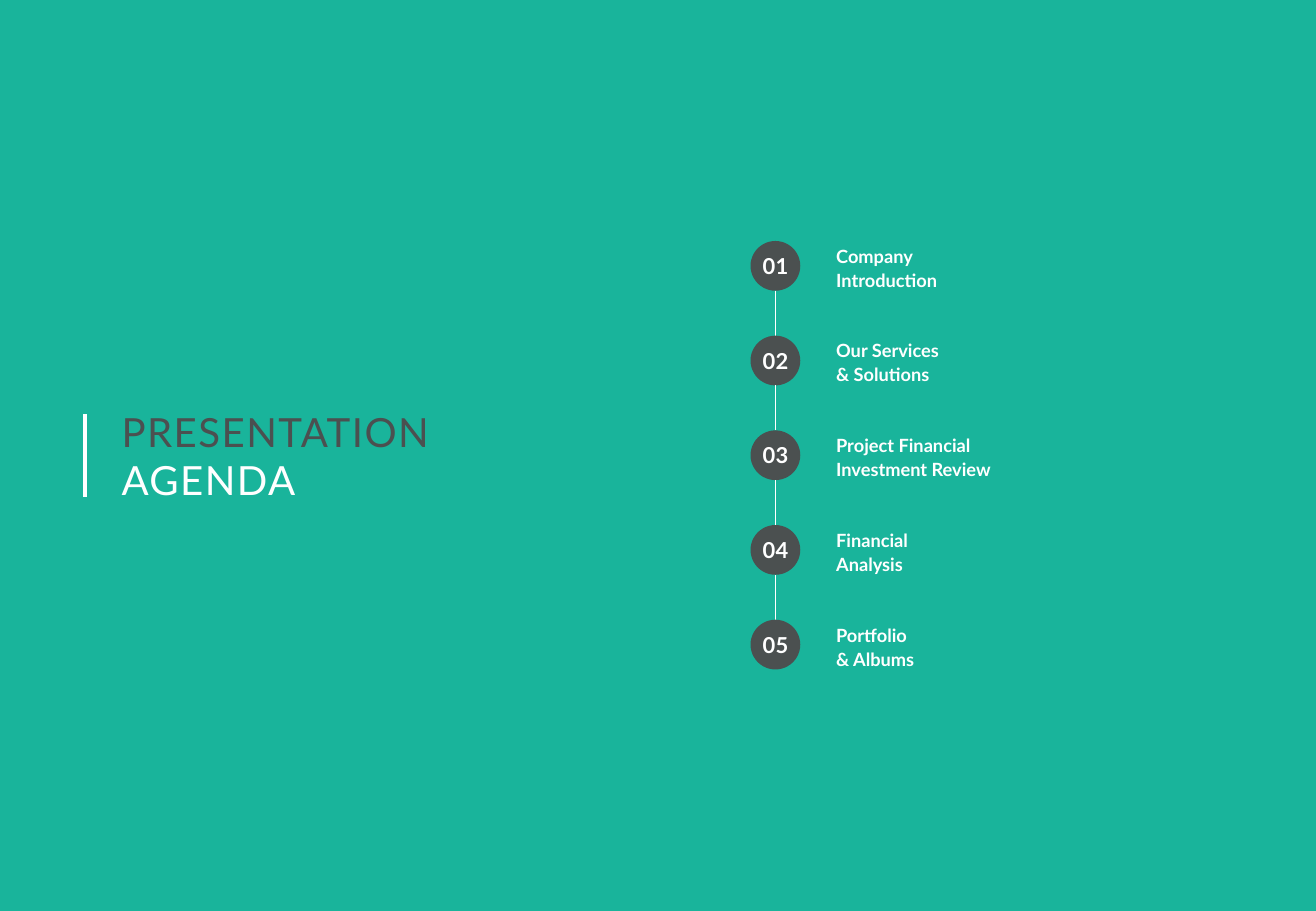
import pptx
import pptx.dml.color
import pptx.enum.shapes
import pptx.enum.text
import pptx.oxml
import pptx.util
from pptx.util import Cm

TEAL, CHARCOAL, WHITE = "19B49B", "4B5050", "FFFFFF"
AGENDA = [
    ("Company", "Introduction"),
    ("Our Services", "& Solutions"),
    ("Project Financial", "Investment Review"),
    ("Financial", "Analysis"),
    ("Portfolio", "& Albums"),
]
AXIS_X, FIRST_TOP, STEP, DIAMETER = 16.21, 5.04, 1.98, 1.04
LABEL_X = 17.48


def colour(hex_string):
    """Return the colour for a hex string."""
    return pptx.dml.color.RGBColor.from_string(hex_string)


def write(shape, lines, size, colours=(WHITE,), bold=False, align="LEFT",
          anchor="TOP", spacing=0, line_spacing=1.0):
    """Write one paragraph per line, taking the colours in turn."""
    frame = shape.text_frame
    frame.margin_left = frame.margin_right = 0
    frame.margin_top = frame.margin_bottom = 0
    frame.word_wrap = True
    frame.auto_size = pptx.enum.text.MSO_AUTO_SIZE.NONE
    frame.vertical_anchor = pptx.enum.text.MSO_ANCHOR[anchor]
    frame.text = "\n".join(lines)
    for index, paragraph in enumerate(frame.paragraphs):
        paragraph.alignment = pptx.enum.text.PP_ALIGN[align]
        paragraph.line_spacing = line_spacing
        run = paragraph.runs[0]
        run.font.name = "Lato"
        run.font.size = pptx.util.Pt(size)
        run.font.bold = bold
        run.font.color.rgb = colour(colours[index % len(colours)])
        if spacing:
            run._r.get_or_add_rPr().set("spc", str(round(spacing * 100)))


def add_title(slide):
    """Place the two-line title."""
    title = slide.shapes.title
    title.left, title.top = Cm(2.54), Cm(8.51)
    title.width, title.height = Cm(10.9), Cm(2.03)
    write(title, ["PRESENTATION", "AGENDA"], 23.8,
          colours=(CHARCOAL, WHITE), spacing=0.9)


def add_vertical_line(slide, x, top, bottom, width):
    """Draw a white vertical line without a shadow."""
    line = slide.shapes.add_connector(
        pptx.enum.shapes.MSO_CONNECTOR.STRAIGHT,
        Cm(x), Cm(top), Cm(x), Cm(bottom))
    line.line.color.rgb = colour(WHITE)
    line.line.width = pptx.util.Pt(width)
    line._element.spPr.append(pptx.oxml.parse_xml(
        '<a:effectLst xmlns:a="http://schemas.openxmlformats.org/drawingml/2006/main"/>'))


def add_marker(slide, top, number):
    """Draw a numbered circle on the agenda axis."""
    marker = slide.shapes.add_shape(
        pptx.enum.shapes.MSO_SHAPE.OVAL,
        Cm(AXIS_X - DIAMETER / 2), Cm(top), Cm(DIAMETER), Cm(DIAMETER))
    marker.shadow.inherit = False
    marker.fill.solid()
    marker.fill.fore_color.rgb = colour(CHARCOAL)
    marker.line.fill.background()
    write(marker, [f"{number:02d}"], 13, bold=True, align="CENTER",
          anchor="MIDDLE", spacing=0.2)


def add_label(slide, top, lines):
    """Add the text beside a marker."""
    label = slide.shapes.add_textbox(Cm(LABEL_X), Cm(top), Cm(4.95), Cm(1.02))
    write(label, lines, 10.8, bold=True, line_spacing=1.1)


def main():
    """Build the agenda slide and save it."""
    deck = pptx.Presentation()
    deck.slide_width, deck.slide_height = Cm(27.51), Cm(19.05)
    slide = deck.slides.add_slide(deck.slide_layouts.get_by_name("Title Only"))
    slide.background.fill.solid()
    slide.background.fill.fore_color.rgb = colour(TEAL)

    add_vertical_line(slide, 1.78, 8.66, 10.39, 2.25)
    add_title(slide)
    for index, lines in enumerate(AGENDA):
        top = FIRST_TOP + index * STEP
        if index:
            add_vertical_line(slide, AXIS_X, top - STEP + DIAMETER, top, 1)
        add_marker(slide, top, index + 1)
        add_label(slide, top + 0.04, lines)
    deck.save("out.pptx")


if __name__ == "__main__":
    main()
